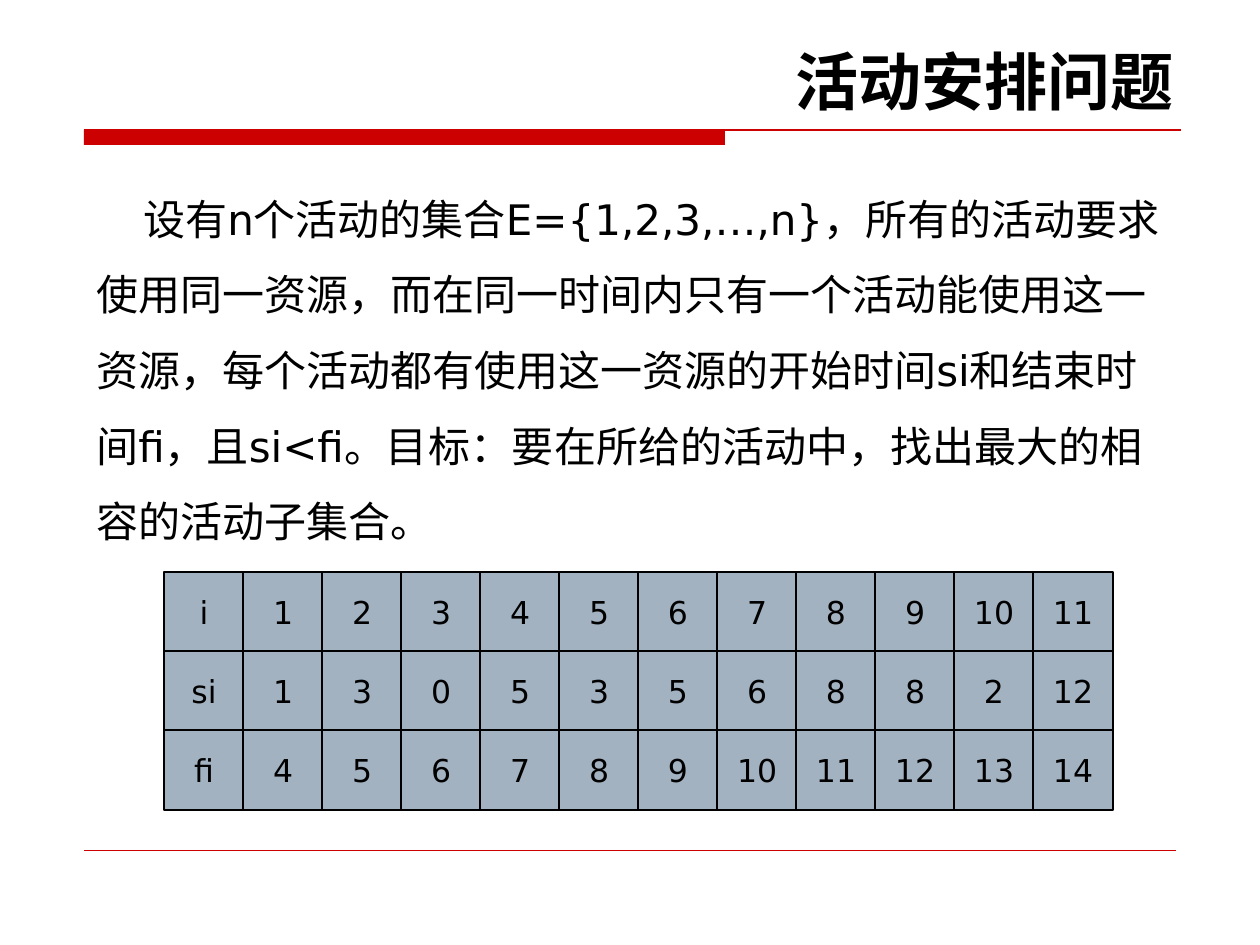
from dataclasses import dataclass

from lxml import etree
from pptx import Presentation
from pptx import util as u
from pptx.dml.color import RGBColor
from pptx.enum import shapes, text
from pptx.oxml.ns import qn

EMU_PER_PX = 914400 / 126
FONT = "DejaVu Sans"
RED = RGBColor(0xCC, 0x00, 0x00)
BLACK = RGBColor(0x00, 0x00, 0x00)
STEEL = RGBColor(0xA3, 0xB2, 0xC1)

GRID_LEFT, GRID_TOP, CELL_PITCH, CELL_SIZE = 164, 572, 79, 80
ACTIVITIES = (
    ("i", *range(1, 12)),
    ("si", 1, 3, 0, 5, 3, 5, 6, 8, 8, 2, 12),
    ("fi", *range(4, 15)),
)


@dataclass(frozen=True)
class TextBlock:
    content: str
    left: int
    top: int
    width: int
    height: int
    size: int
    bold: bool = False
    alignment: text.PP_ALIGN = text.PP_ALIGN.LEFT
    line_spacing: float = 1.0
    indent: int = 0


@dataclass(frozen=True)
class Rule:
    left: int
    right: int
    y: int
    weight: float


TEXT_BLOCKS = (
    TextBlock("活动安排问题", 65, 36, 1121, 88, 36, bold=True,
              alignment=text.PP_ALIGN.RIGHT),
    TextBlock(
        "设有n个活动的集合E={1,2,3,…,n}，所有的活动要求使用同一资源，"
        "而在同一时间内只有一个活动能使用这一资源，"
        "每个活动都有使用这一资源的开始时间si和结束时间fi，且si<fi。"
        "目标：要在所给的活动中，找出最大的相容的活动子集合。",
        84, 162, 1101, 391, 24, line_spacing=1.5, indent=47),
)
RULES = (Rule(84, 1181, 130, 0.75), Rule(84, 1176, 850, 0.25))


def px(length: int) -> u.Emu:
    return u.Emu(round(length * EMU_PER_PX))


def style_paragraph(paragraph, size: int, bold: bool = False) -> None:
    paragraph.font.name = FONT
    paragraph.font.size = u.Pt(size)
    paragraph.font.bold = bold
    paragraph.font.color.rgb = BLACK


def draw_rectangle(container, left: int, top: int, width: int, height: int,
                   color: RGBColor):
    rectangle = container.shapes.add_shape(
        shapes.MSO_SHAPE.RECTANGLE, px(left), px(top), px(width), px(height))
    rectangle.shadow.inherit = False
    rectangle.fill.solid()
    rectangle.fill.fore_color.rgb = color
    rectangle.line.fill.background()
    return rectangle


def draw_rule(slide, rule: Rule) -> None:
    line = slide.shapes.add_connector(shapes.MSO_CONNECTOR.STRAIGHT,
                                      px(rule.left), px(rule.y),
                                      px(rule.right), px(rule.y))
    line.line.color.rgb = RED
    line.line.width = u.Pt(rule.weight)
    etree.SubElement(line._element.spPr, qn("a:effectLst"))


def draw_text(slide, block: TextBlock) -> None:
    box = slide.shapes.add_textbox(px(block.left), px(block.top),
                                   px(block.width), px(block.height))
    box.text_frame.word_wrap = True
    paragraph = box.text_frame.paragraphs[0]
    paragraph.text = block.content
    paragraph.alignment = block.alignment
    paragraph.line_spacing = block.line_spacing
    if block.indent:
        paragraph._p.get_or_add_pPr().set("indent", str(px(block.indent)))
    style_paragraph(paragraph, block.size, block.bold)


def draw_cell(group, row: int, column: int, value: object) -> None:
    cell = draw_rectangle(group, GRID_LEFT + column * CELL_PITCH,
                          GRID_TOP + row * CELL_PITCH,
                          CELL_SIZE, CELL_SIZE, STEEL)
    cell.line.color.rgb = BLACK
    cell.line.width = u.Pt(0.75)
    cell.text_frame.word_wrap = False
    cell.text_frame.vertical_anchor = text.MSO_ANCHOR.MIDDLE
    paragraph = cell.text_frame.paragraphs[0]
    paragraph.text = str(value)
    paragraph.alignment = text.PP_ALIGN.CENTER
    style_paragraph(paragraph, 18)


def draw_grid(slide, rows: tuple) -> None:
    group = slide.shapes.add_group_shape()
    for column, values in enumerate(zip(*rows)):
        for row, value in enumerate(values):
            draw_cell(group, row, column, value)


def main() -> None:
    presentation = Presentation()
    presentation.slide_width = px(1260)
    presentation.slide_height = px(945)
    slide = presentation.slides.add_slide(presentation.slide_layouts[6])
    draw_rectangle(slide, 84, 130, 641, 15, RED)
    for rule in RULES:
        draw_rule(slide, rule)
    for block in TEXT_BLOCKS:
        draw_text(slide, block)
    draw_grid(slide, ACTIVITIES)
    presentation.save("out.pptx")


if __name__ == "__main__":
    main()
